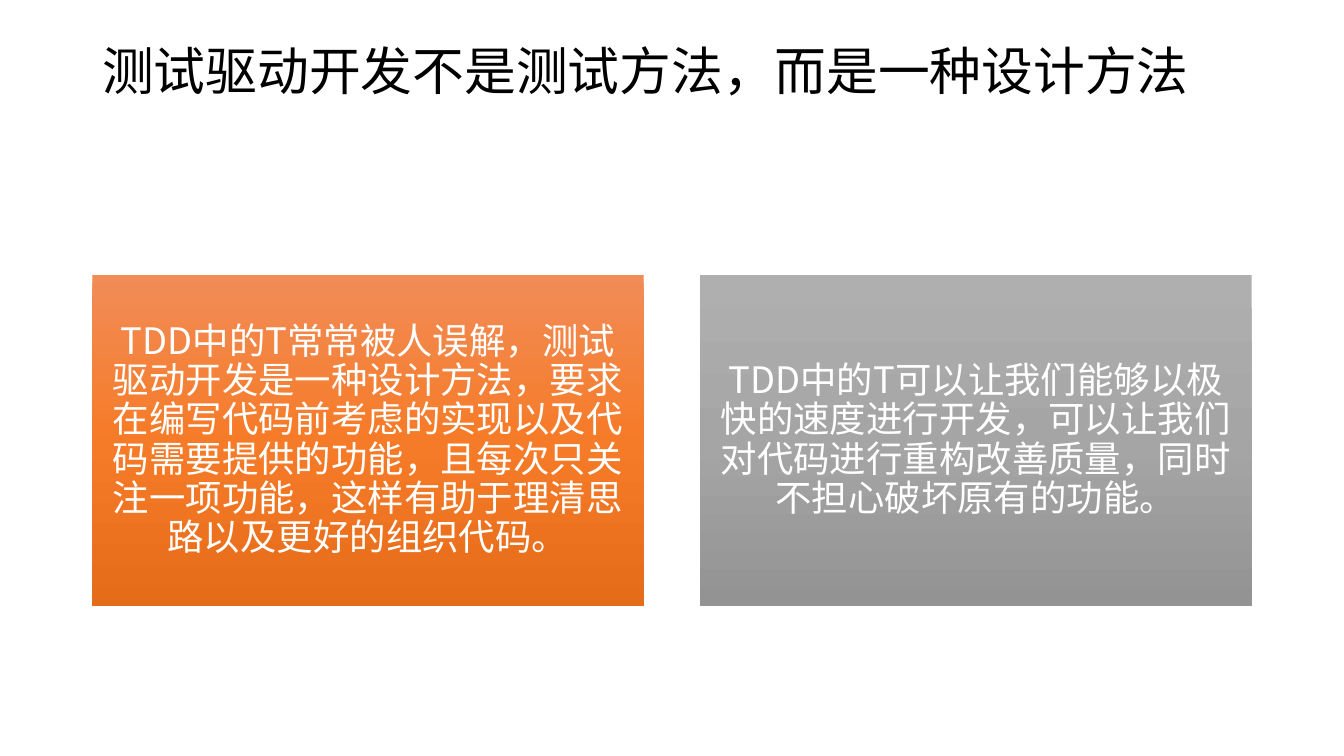
from copy import deepcopy

from lxml import etree
from pptx import Presentation
from pptx.dml.color import RGBColor
from pptx.enum.shapes import MSO_SHAPE
from pptx.enum.text import MSO_ANCHOR, PP_ALIGN
from pptx.oxml.ns import qn
from pptx.util import Pt

RECTANGLE = MSO_SHAPE.RECTANGLE
TOP, MIDDLE = MSO_ANCHOR.TOP, MSO_ANCHOR.MIDDLE
LEFT, CENTER = PP_ALIGN.LEFT, PP_ALIGN.CENTER

FONT = "Noto Sans CJK SC"
BLACK = RGBColor(0x00, 0x00, 0x00)
WHITE = RGBColor(0xFF, 0xFF, 0xFF)
ORANGES = (
    RGBColor(0xF1, 0x8C, 0x57),
    RGBColor(0xF6, 0x7B, 0x28),
    RGBColor(0xE5, 0x6C, 0x19),
)
GREYS = (
    RGBColor(0xAF, 0xAF, 0xAF),
    RGBColor(0xA5, 0xA5, 0xA5),
    RGBColor(0x93, 0x93, 0x93),
)

MARGIN = 66
CONTENT_WIDTH = 828
CARD_WIDTH = 393.84
CARD_TOP = 196.6
CARD_HEIGHT = 236.2
CARD_INSET = 7.92

TITLE = "测试驱动开发不是测试方法，而是一种设计方法"
CARDS = (
    ("TDD中的T常常被人误解，测试驱动开发是一种设计方法，要求在编写代码前考虑的实现以及代码需要提供的功能，且每次只关注一项功能，这样有助于理清思路以及更好的组织代码。", ORANGES),
    ("TDD中的T可以让我们能够以极快的速度进行开发，可以让我们对代码进行重构改善质量，同时不担心破坏原有的功能。", GREYS),
)


def write_text(frame, text, size, color, align, anchor):
    frame.word_wrap = True
    frame.vertical_anchor = anchor
    paragraph = frame.paragraphs[0]
    paragraph.alignment = align
    paragraph.line_spacing = 0.9
    run = paragraph.add_run()
    run.text = text
    run.font.size = Pt(size)
    run.font.name = FONT
    run.font.color.rgb = color
    properties = run.font._element
    properties.set("lang", "zh-CN")
    latin = properties.find(qn("a:latin"))
    east_asian = etree.Element(qn("a:ea"), typeface=FONT)
    latin.addnext(east_asian)


def fill_downward(shape, colors):
    shape.fill.gradient()
    shape.fill.gradient_angle = 270
    stop_list = shape._element.spPr.find(qn("a:gradFill")).find(qn("a:gsLst"))
    stop_list.insert(1, deepcopy(stop_list[0]))
    for index, (stop, color) in enumerate(zip(shape.fill.gradient_stops, colors)):
        stop.position = index / 2
        stop.color.rgb = color


def add_title(slide, text):
    title = slide.shapes.add_textbox(
        Pt(MARGIN), Pt(28.8), Pt(CONTENT_WIDTH), Pt(104.4)
    )
    write_text(title.text_frame, text, 37, BLACK, LEFT, TOP)


def add_card(slide, left, text, colors):
    card = slide.shapes.add_shape(
        RECTANGLE, Pt(left), Pt(CARD_TOP), Pt(CARD_WIDTH), Pt(CARD_HEIGHT)
    )
    card.shadow.inherit = False
    card.line.fill.background()
    fill_downward(card, colors)
    frame = card.text_frame
    frame.margin_left = frame.margin_right = Pt(CARD_INSET)
    frame.margin_top = frame.margin_bottom = Pt(CARD_INSET)
    write_text(frame, text, 26, WHITE, CENTER, MIDDLE)


def main():
    presentation = Presentation()
    presentation.slide_width = Pt(960)
    presentation.slide_height = Pt(540)
    slide = presentation.slides.add_slide(presentation.slide_layouts[6])
    add_title(slide, TITLE)
    card_step = CONTENT_WIDTH - CARD_WIDTH
    for index, (text, colors) in enumerate(CARDS):
        add_card(slide, MARGIN + index * card_step, text, colors)
    presentation.save("out.pptx")


if __name__ == "__main__":
    main()
